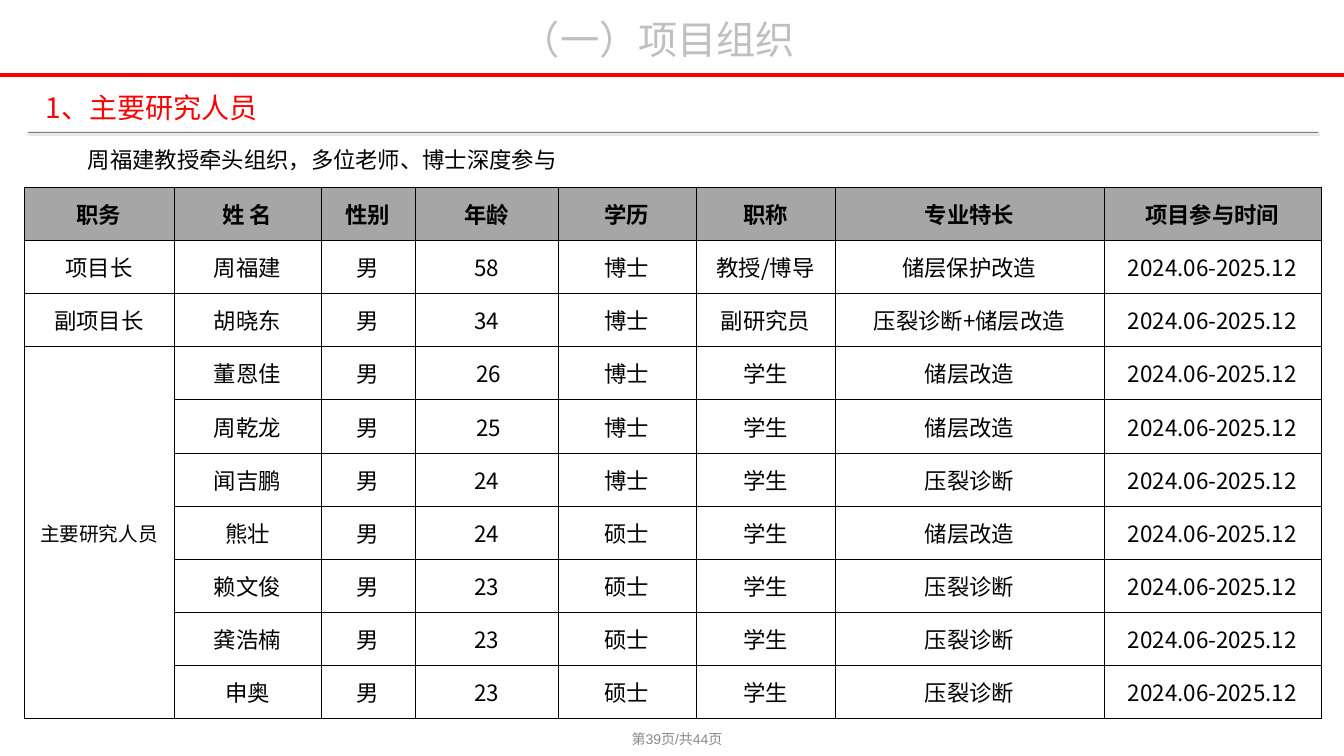
from pptx import Presentation
from pptx import util as u
from pptx.dml.color import RGBColor
from pptx.enum import shapes, text
from pptx.oxml import parse_xml
from pptx.oxml.ns import nsdecls, qn
from lxml import etree

PX_PER_INCH = 100.8
WIDTH, HEIGHT = 1344, 756
COLORS = {"red": "FF0000", "title": "BFBFBF", "text": "000000", "footer": "898989",
          "rule": "7C7C7C", "shadow": "D9D9D9", "header": "A6A6A6", "border": "000000"}
CJK = "Noto Sans CJK SC"
CENTER = text.PP_ALIGN.CENTER
MIDDLE = text.MSO_ANCHOR.MIDDLE

COLUMN_WIDTHS = [150, 147, 94, 143, 138, 139, 269, 217]
HEADERS = ["职务", "姓 名", "性别", "年龄", "学历", "职称", "专业特长", "项目参与时间"]
MEN, PERIOD = "男", "2024.06-2025.12"
# duty, name, age, degree, title, speciality
PEOPLE = [
    ("项目长", "周福建", "58", "博士", "教授/博导", "储层保护改造"),
    ("副项目长", "胡晓东", "34", "博士", "副研究员", "压裂诊断+储层改造"),
    ("主要研究人员", "董恩佳", " 26", "博士", "学生", "储层改造"),
    ("", "周乾龙", " 25", "博士", "学生", "储层改造"),
    ("", "闻吉鹏", "24", "博士", "学生", "压裂诊断"),
    ("", "熊壮", "24", "硕士", "学生", "储层改造"),
    ("", "赖文俊", "23", "硕士", "学生", "压裂诊断"),
    ("", "龚浩楠", "23", "硕士", "学生", "压裂诊断"),
    ("", "申奥", "23", "硕士", "学生", "压裂诊断"),
]
TEAM_ROW = 3


def px(n):
    return u.Inches(n / PX_PER_INCH)


class SlideBuilder:
    def __init__(self, slide):
        self.slide = slide

    def run(self, p, words, size, color, font=CJK, bold=False):
        r = p.add_run()
        r.text = words
        r.font.size, r.font.bold, r.font.name = u.Pt(size), bold, font
        r.font.color.rgb = RGBColor.from_string(COLORS[color])
        etree.SubElement(r._r.get_or_add_rPr(), qn("a:ea")).set("typeface", CJK)

    def label(self, box, words, size, color, font=CJK, align=None, anchor=None,
              hanging=0, spacing=None, grow=True):
        sp = self.slide.shapes.add_textbox(*map(px, box))
        tf = sp.text_frame
        tf.word_wrap = True
        if grow:
            tf.auto_size = text.MSO_AUTO_SIZE.SHAPE_TO_FIT_TEXT
        if anchor is not None:
            tf.vertical_anchor = anchor
        p = tf.paragraphs[0]
        p.alignment, p.line_spacing = align, spacing
        if hanging:
            pPr = p._p.get_or_add_pPr()
            pPr.set("marL", str(px(hanging)))
            pPr.set("indent", str(-px(hanging)))
        self.run(p, words, size, color, font)

    def rule(self, x1, x2, y, color, width, shadow=None):
        line = self.slide.shapes.add_connector(
            shapes.MSO_CONNECTOR.STRAIGHT, px(x1), px(y), px(x2), px(y))
        line.line.color.rgb = RGBColor.from_string(COLORS[color])
        line.line.width = u.Pt(width)
        effects = etree.SubElement(line._element.spPr, qn("a:effectLst"))
        if shadow:
            effects.append(parse_xml(
                f'<a:outerShdw {nsdecls("a")} blurRad="12700" dist="12700" dir="5400000" '
                f'rotWithShape="0"><a:srgbClr val="{COLORS[shadow]}"/></a:outerShdw>'))

    def cell(self, cell, words, size=16, header=False, vertical=False):
        tcPr = cell._tc.get_or_add_tcPr()
        for side in ("lnL", "lnR", "lnT", "lnB"):
            tcPr.append(parse_xml(
                f'<a:{side} {nsdecls("a")} w="6350"><a:solidFill>'
                f'<a:srgbClr val="{COLORS["border"]}"/></a:solidFill></a:{side}>'))
        if header:
            cell.fill.solid()
            cell.fill.fore_color.rgb = RGBColor.from_string(COLORS["header"])
        else:
            cell.fill.background()
        cell.vertical_anchor = MIDDLE
        if vertical:
            tcPr.set("vert", "eaVert")
        else:
            cell.margin_left = cell.margin_right = px(7)
            cell.margin_top = cell.margin_bottom = 0
        p = cell.text_frame.paragraphs[0]
        p.alignment = CENTER
        if words:
            self.run(p, words, size, "text", bold=header)

    def staff_table(self, x, y, height):
        rows = [HEADERS] + [
            [duty, name, MEN, age, degree, title, speciality, PERIOD]
            for duty, name, age, degree, title, speciality in PEOPLE]
        table = self.slide.shapes.add_table(
            len(rows), len(HEADERS), px(x), px(y), px(sum(COLUMN_WIDTHS)), px(height)).table
        table.first_row = table.horz_banding = False
        for column, width in zip(table.columns, COLUMN_WIDTHS):
            column.width = px(width)
        for i, row in enumerate(rows):
            table.rows[i].height = px(height / len(rows))
            for j, words in enumerate(row):
                team = i == TEAM_ROW and j == 0
                self.cell(table.cell(i, j), words, 14 if team else 16, i == 0, team)
        table.cell(TEAM_ROW, 0).merge(table.cell(len(rows) - 1, 0))


def main():
    prs = Presentation()
    prs.slide_width, prs.slide_height = px(WIDTH), px(HEIGHT)
    s = SlideBuilder(prs.slides.add_slide(prs.slide_layouts[6]))
    s.rule(0, WIDTH, 75, "red", 3)
    s.label((5, 721, WIDTH, 35), "第39页/共44页", 10, "footer", "Arial",
            CENTER, MIDDLE, grow=False)
    s.rule(28, 1318, 132, "rule", 0.5, "shadow")
    s.label((155, 10, 1006, 57), "（一）项目组织", 28, "title", align=CENTER, hanging=138)
    s.label((36, 86, 1273, 44), "1、主要研究人员", 20, "red", hanging=89)
    s.staff_table(24, 187, 532)
    s.label((78, 128, 1173, 46), "周福建教授牵头组织，多位老师、博士深度参与", 16, "text",
            spacing=1.5)
    prs.save("out.pptx")


if __name__ == "__main__":
    main()
